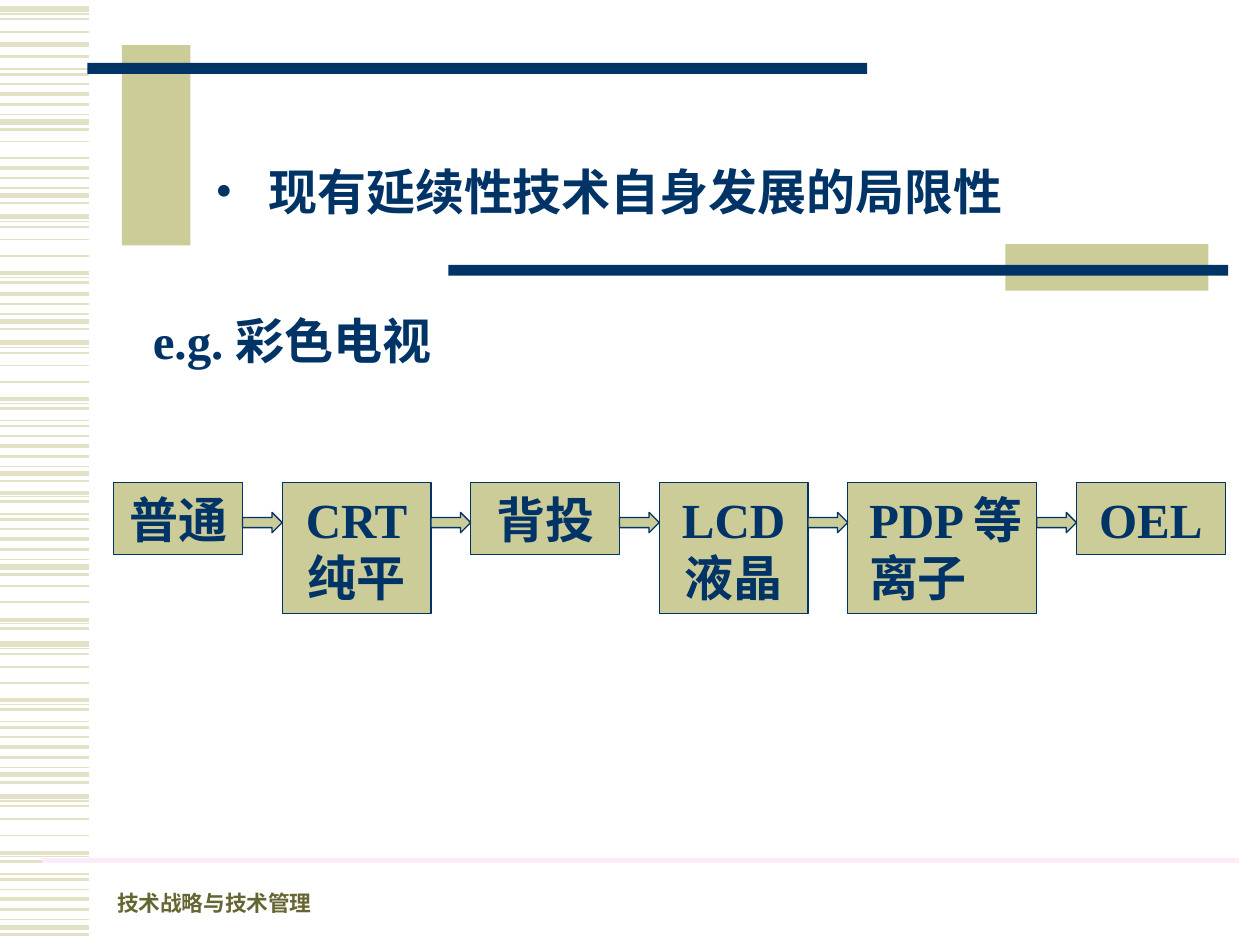
"""Build a slide on the limits of a sustaining technology, with a flow of TV types."""
from dataclasses import dataclass
from itertools import pairwise
from typing import Any

from pptx import Presentation
from pptx import util as u
from pptx.dml.color import RGBColor
from pptx.enum import shapes, text
from pptx.oxml import ns, xmlchemy

NAVY = RGBColor(0x00, 0x33, 0x66)
KHAKI = RGBColor(0xCC, 0xCC, 0x99)
OLIVE = RGBColor(0x66, 0x66, 0x33)
PALE = RGBColor(0xE3, 0xE2, 0xC7)
PINK = RGBColor(0xFB, 0xEB, 0xFB)
FACE = "Times New Roman"
MID = text.PP_ALIGN.CENTER
LEFT = text.PP_ALIGN.LEFT
KIND = shapes.MSO_SHAPE


@dataclass
class Area:
    left: float
    top: float
    width: float
    height: float

    def lengths(self) -> list[u.Length]:
        return [u.Cm(v) for v in (self.left, self.top, self.width, self.height)]


@dataclass
class Bar:
    area: Area
    color: RGBColor


@dataclass
class Stage:
    label: str
    width: float
    height: float
    align: Any = MID
    inset: float = 0.25


@dataclass
class Band:
    base: float
    first: int = 0
    last: int = 16


CYCLE = [
    (0, 3), (0.1, 0.75), (0.2, 1), (0.46, 1), (0.79, 1), (1.14, 2.25),
    (1.22, 0.75), (1.32, 1.5), (1.57, 0.75), (1.68, 1.5), (1.88, 1),
    (2.08, 2.25), (2.29, 1.5), (2.49, 0.75), (2.64, 3), (2.79, 1.5),
]
BANDS = [
    Band(0.18, 0, 4), Band(0.89, 0, 1), Band(-0.18, 7), Band(2.39, 3, 5),
    Band(1.3, 11), Band(4.37, 0, 8), Band(3.84, 11), Band(6.91),
    Band(8.79, 5), Band(11.35, 3, 8), Band(12.98), Band(16.05),
]
BARS = [
    Bar(Area(2.46, 0.91, 1.38, 4.04), KHAKI),
    Bar(Area(1.76, 1.27, 15.72, 0.22), NAVY),
    Bar(Area(20.27, 4.92, 4.09, 0.94), KHAKI),
    Bar(Area(9.04, 5.34, 15.72, 0.22), NAVY),
]
LOW, HIGH = 1.45, 2.64
STAGES = [
    Stage("普通", 2.6, LOW),
    Stage("CRT纯平", 3, HIGH),
    Stage("背投", 3, LOW),
    Stage("LCD液晶", 3, HIGH),
    Stage("PDP 等离子", 3.81, HIGH, LEFT, 0.43),
    Stage("OEL", 3, LOW),
]
START, TOP, GAP = 2.29, 9.73, 0.8


def assign(item: Any, values: dict[str, Any]) -> None:
    for name, value in values.items():
        setattr(item, name, value)


def write(shape: Any, words: str, align: Any = LEFT, size: float = 28,
          color: RGBColor = NAVY, anchor: Any = text.MSO_ANCHOR.TOP,
          inset: float = 0.25) -> None:
    frame = shape.text_frame
    assign(frame, {
        "text": words, "word_wrap": True, "vertical_anchor": anchor,
        "auto_size": text.MSO_AUTO_SIZE.NONE,
        "margin_left": u.Cm(inset), "margin_right": u.Cm(0.25),
        "margin_top": u.Cm(0.13), "margin_bottom": u.Cm(0.13),
    })
    para = frame.paragraphs[0]
    para.alignment = align
    font = para.runs[0].font
    assign(font, {"name": FACE, "size": u.Pt(size), "bold": True})
    font.color.rgb = color


def bullet(para: Any) -> None:
    prop = para._p.get_or_add_pPr()
    prop.set("marL", str(u.Cm(1.07)))
    prop.set("indent", str(-u.Cm(1.07)))
    color = xmlchemy.OxmlElement("a:buClr")
    tint = xmlchemy.OxmlElement("a:srgbClr")
    tint.set("val", str(NAVY))
    color.append(tint)
    face = xmlchemy.OxmlElement("a:buFont")
    face.set("typeface", FACE)
    mark = xmlchemy.OxmlElement("a:buChar")
    mark.set("char", "•")
    for old in prop.findall(ns.qn("a:buNone")):
        prop.remove(old)
    prop.extend([color, face, mark])


def rule(slide: Any, left: float, right: float, y: float,
         color: RGBColor, weight: float) -> None:
    ends = [u.Cm(v) for v in (left, y, right, y)]
    line = slide.shapes.add_connector(shapes.MSO_CONNECTOR.STRAIGHT, *ends)
    line.line.color.rgb = color
    line.line.width = u.Pt(weight)
    line._element.spPr.append(xmlchemy.OxmlElement("a:effectLst"))


def block(slide: Any, kind: Any, area: Area, fill: RGBColor,
          edge: bool = True) -> Any:
    shape = slide.shapes.add_shape(kind, *area.lengths())
    shape.shadow.inherit = False
    shape.fill.solid()
    shape.fill.fore_color.rgb = fill
    if edge:
        shape.line.color.rgb = NAVY
        shape.line.width = u.Pt(0.75)
    else:
        shape.line.fill.background()
    return shape


def flow(slide: Any) -> None:
    left = START
    areas = []
    for stage in STAGES:
        area = Area(left, TOP, stage.width, stage.height)
        shape = block(slide, KIND.RECTANGLE, area, KHAKI)
        write(shape, stage.label, stage.align, inset=stage.inset)
        areas.append(area)
        left += stage.width + GAP
    for prior, after in pairwise(areas):
        edge = prior.left + prior.width
        area = Area(edge, TOP + 0.6, after.left - edge, 0.41)
        block(slide, KIND.RIGHT_ARROW, area, KHAKI)


def main() -> None:
    deck = Presentation()
    assign(deck, {"slide_width": u.Cm(25.4), "slide_height": u.Cm(19.05)})
    slide = deck.slides.add_slide(deck.slide_layouts[5])
    for band in BANDS:
        for step, weight in CYCLE[band.first:band.last]:
            rule(slide, 0, 1.8, band.base + step, PALE, weight)
    for bar in BARS:
        block(slide, KIND.RECTANGLE, bar.area, bar.color, edge=False)
    rule(slide, 0.84, 24.97, 17.35, PINK, 3)

    title = slide.shapes.title
    names = ("left", "top", "width", "height")
    assign(title, dict(zip(names, Area(4.09, 3.12, 17, 1.45).lengths())))
    write(title, "现有延续性技术自身发展的局限性")
    bullet(title.text_frame.paragraphs[0])

    topic = slide.shapes.add_textbox(*Area(2.49, 6.12, 6.8, 1.45).lengths())
    write(topic, "e.g. 彩色电视", MID)
    flow(slide)
    foot = slide.shapes.add_textbox(*Area(2.11, 17.73, 6.6, 0.86).lengths())
    write(foot, "技术战略与技术管理", size=12.4, color=OLIVE,
          anchor=text.MSO_ANCHOR.BOTTOM)
    deck.save("out.pptx")


if __name__ == "__main__":
    main()
